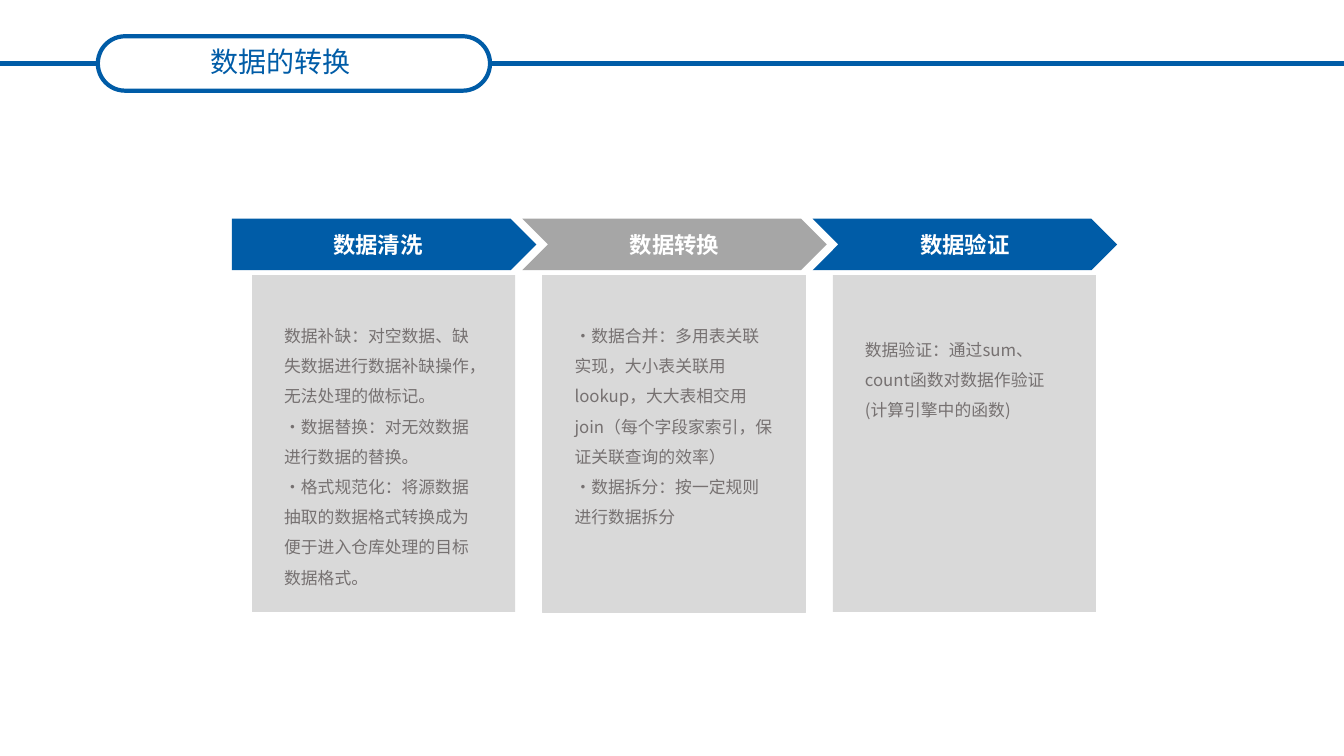
from dataclasses import dataclass

from lxml import etree
from pptx import Presentation
from pptx.dml.color import RGBColor
from pptx.enum.lang import MSO_LANGUAGE_ID
from pptx.enum.shapes import MSO_CONNECTOR, MSO_SHAPE
from pptx.enum.text import MSO_ANCHOR, PP_ALIGN
from pptx.oxml.ns import qn
from pptx.util import Inches, Pt

STRAIGHT = MSO_CONNECTOR.STRAIGHT
PILL, BOX = MSO_SHAPE.ROUNDED_RECTANGLE, MSO_SHAPE.RECTANGLE
PENTAGON, CHEVRON = MSO_SHAPE.PENTAGON, MSO_SHAPE.CHEVRON
MIDDLE, TOP = MSO_ANCHOR.MIDDLE, MSO_ANCHOR.TOP
CENTER, LEFT = PP_ALIGN.CENTER, PP_ALIGN.LEFT
CHINESE = MSO_LANGUAGE_ID.SIMPLIFIED_CHINESE
LEFT_SIDE, RIGHT_SIDE = 1, 3


@dataclass(frozen=True)
class Theme:
    """Colours, font and type sizes of the slide."""
    blue: str = "005CA7"
    gray: str = "A6A6A6"
    card: str = "D9D9D9"
    body: str = "767171"
    white: str = "FFFFFF"
    font: str = "Noto Sans CJK SC"
    title_size: float = 20
    head_size: float = 16
    body_size: float = 12
    rule: float = 3
    hairline: float = 0.25


THEME = Theme()
PAGE_WIDTH, PAGE_HEIGHT = 13.33, 7.5
TITLE_BOX = (0.97, 0.36, 3.89, 0.54)
STEPS_BOX = (2.3, 2.17, 8.78, 3.9)
STEP_PITCH, ARROW_WIDTH, ARROW_HEIGHT = 2.88, 3.02, 0.51
CARD_INSET, CARD_DROP, CARD_WIDTH = 0.2, 0.56, 2.61
TEXT_INSET, TEXT_WIDTH = 0.22, 2.18

STEPS = [
    dict(head="数据清洗", arrow=PENTAGON, color=THEME.blue, edge=None, drop=0.35, lines=[
        "数据补缺：对空数据、缺失数据进行数据补缺操作，无法处理的做标记。",
        "·数据替换：对无效数据进行数据的替换。",
        "·格式规范化：将源数据抽取的数据格式转换成为便于进入仓库处理的目标数据格式。"]),
    dict(head="数据转换", arrow=CHEVRON, color=THEME.gray, edge=THEME.card, drop=0.35, lines=[
        "·数据合并：多用表关联实现，大小表关联用lookup，大大表相交用join（每个字段家索引，保证关联查询的效率）",
        "·数据拆分：按一定规则进行数据拆分"]),
    dict(head="数据验证", arrow=CHEVRON, color=THEME.blue, edge=None, drop=0.49, lines=[
        "数据验证：通过sum、count函数对数据作验证",
        "(计算引擎中的函数)"]),
]


def write(shape, lines, size, color, bold=False, align=CENTER, anchor=MIDDLE, wrap=True, spacing=1.0):
    """Fill a shape with evenly formatted paragraphs."""
    frame = shape.text_frame
    frame.word_wrap, frame.vertical_anchor = wrap, anchor
    for index, line in enumerate(lines):
        para = frame.paragraphs[0] if index == 0 else frame.add_paragraph()
        para.alignment, para.line_spacing = align, spacing
        span = para.add_run()
        span.text = line
        formats = {"name": THEME.font, "size": Pt(size), "bold": bold, "language_id": CHINESE}
        for name, value in formats.items():
            setattr(span.font, name, value)
        span.font.color.rgb = RGBColor.from_string(color)
        east_asian = etree.SubElement(span.font._element, qn("a:ea"))
        east_asian.set("typeface", THEME.font)


def add_box(page, kind, box, fill=None, edge=None, weight=THEME.hairline):
    """Add a flat preset shape with an optional fill and outline."""
    shape = page.shapes.add_shape(kind, *map(Inches, box))
    shape.shadow.inherit = False
    if fill:
        shape.fill.solid()
        shape.fill.fore_color.rgb = RGBColor.from_string(fill)
    else:
        shape.fill.background()
    if edge:
        shape.line.color.rgb = RGBColor.from_string(edge)
        shape.line.width = Pt(weight)
    else:
        shape.line.fill.background()
    return shape


def add_title(page, box, title):
    """Draw the title pill with a rule running from each end to the slide edge."""
    left, top, width, height = box
    pill = add_box(page, PILL, box, edge=THEME.blue, weight=THEME.rule)
    pill.adjustments[0] = 0.5
    middle = Inches(top + height / 2)
    for edge, side in ((0, LEFT_SIDE), (PAGE_WIDTH, RIGHT_SIDE)):
        rule = page.shapes.add_connector(STRAIGHT, Inches(edge), middle, Inches(left), middle)
        rule.end_connect(pill, side)
        rule.line.color.rgb = RGBColor.from_string(THEME.blue)
        rule.line.width = Pt(THEME.rule)
        etree.SubElement(rule._element.spPr, qn("a:effectLst"))
    label = page.shapes.add_textbox(*map(Inches, (left - 0.13, top - 0.02, width, height)))
    write(label, [title], THEME.title_size, THEME.blue)


def add_step(page, box, step):
    """Draw one arrow heading with its card of text below."""
    left, top, width, height = box
    arrow = add_box(page, step["arrow"], (left, top, width, ARROW_HEIGHT), step["color"])
    write(arrow, [step["head"]], THEME.head_size, THEME.white, bold=True, wrap=False)
    card_left, card_top = left + CARD_INSET, top + CARD_DROP
    card_height = height - CARD_DROP
    add_box(page, BOX, (card_left, card_top, CARD_WIDTH, card_height), THEME.card, step["edge"])
    text_box = (card_left + TEXT_INSET, card_top + step["drop"], TEXT_WIDTH, card_height - step["drop"])
    text = page.shapes.add_textbox(*map(Inches, text_box))
    write(text, step["lines"], THEME.body_size, THEME.body, align=LEFT, anchor=TOP, spacing=1.5)


def add_steps(page, box, steps):
    """Lay the steps out side by side at an equal pitch."""
    left, top, _, height = box
    for index, step in enumerate(steps):
        add_step(page, (left + index * STEP_PITCH, top, ARROW_WIDTH, height), step)


def main():
    """Build the deck and save it."""
    deck = Presentation()
    deck.slide_width, deck.slide_height = Inches(PAGE_WIDTH), Inches(PAGE_HEIGHT)
    page = deck.slides.add_slide(deck.slide_layouts[6])
    add_title(page, TITLE_BOX, "数据的转换")
    add_steps(page, STEPS_BOX, STEPS)
    deck.save("out.pptx")


if __name__ == "__main__":
    main()
